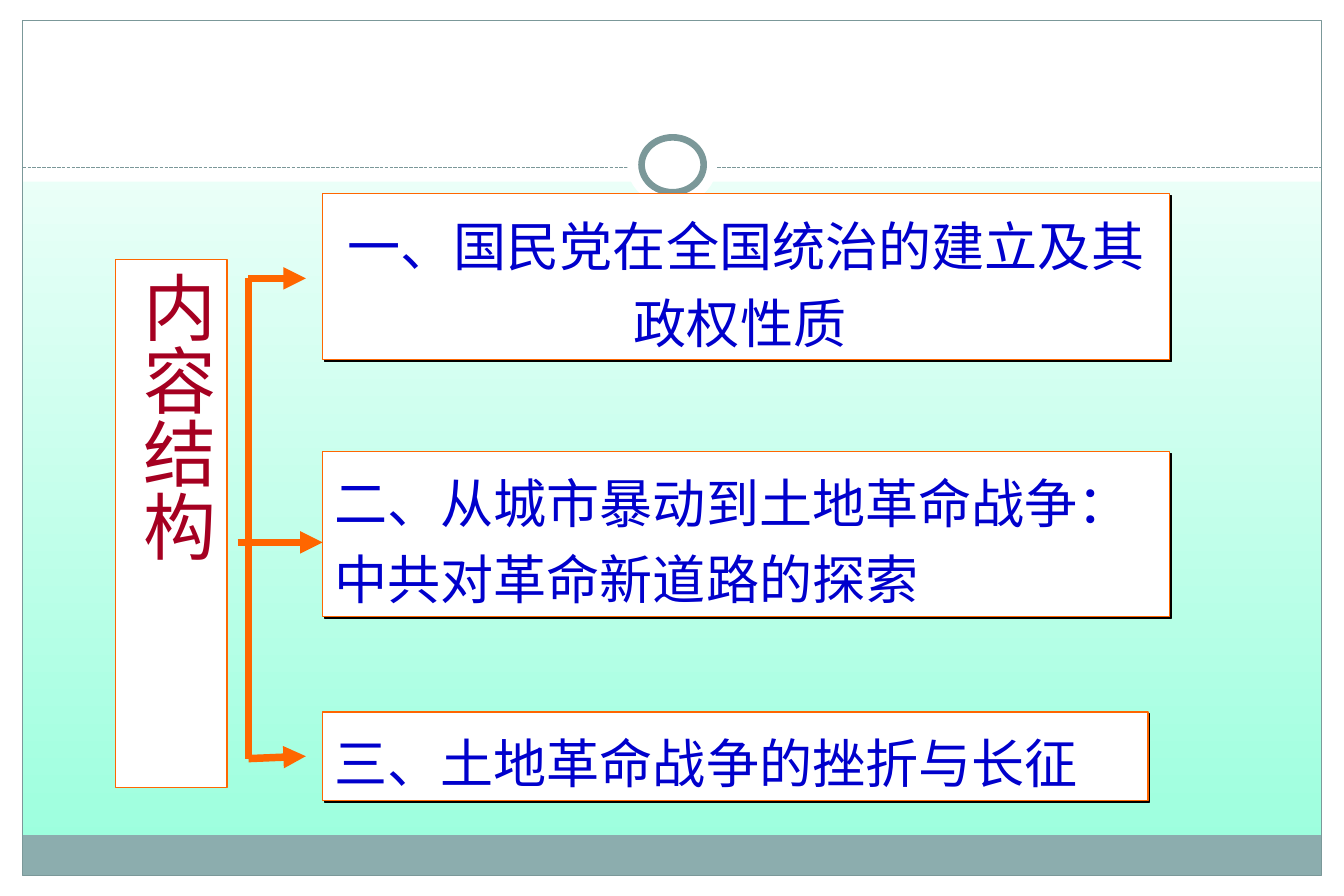
from lxml import etree
from pptx import Presentation
from pptx.dml.color import RGBColor
from pptx.enum.dml import MSO_LINE
from pptx.enum.shapes import MSO_CONNECTOR, MSO_SHAPE
from pptx.enum.text import MSO_ANCHOR, PP_ALIGN
from pptx.oxml.ns import qn
from pptx.util import Inches, Pt

RECTANGLE, OVAL = MSO_SHAPE.RECTANGLE, MSO_SHAPE.OVAL
STRAIGHT = MSO_CONNECTOR.STRAIGHT
DASH = MSO_LINE.SQUARE_DOT
TOP, MIDDLE, BOTTOM = MSO_ANCHOR.TOP, MSO_ANCHOR.MIDDLE, MSO_ANCHOR.BOTTOM
LEFT, CENTER = PP_ALIGN.LEFT, PP_ALIGN.CENTER

# Content
WIDTH, HEIGHT = 11.25, 7.5
FONT = "Noto Sans CJK JP"
COLORS = {
    "white": "FFFFFF", "mint": "97FFDC", "band": "8CADAE", "frame": "7B9899",
    "orange": "FF6600", "red": "A50021", "blue": "0000CC", "black": "000000",
}
HEADING = "内容结构"
HEADING_BOX = (0.97, 2.17, 0.93, 4.42)
TOPICS = [  # text, box, anchor, alignment, line width
    ("一、国民党在全国统治的建立及其政权性质 ", (2.7, 1.62, 7.09, 1.39), BOTTOM, CENTER, 0.75),
    ("二、从城市暴动到土地革命战争：中共对革命新道路的探索", (2.7, 3.78, 7.09, 1.38), MIDDLE, LEFT, 0.75),
    ("三、土地革命战争的挫折与长征", (2.7, 5.96, 6.91, 0.74), MIDDLE, LEFT, 0),
]
MARGIN = 0.19
HEADER_HEIGHT = 1.52
FOOTER_TOP = 7.33
DIVIDER_Y = 1.4
STEM_X, STEM_TOP, STEM_BOTTOM = 2.08, 2.33, 6.35
ARROWS = [  # start, end
    ((STEM_X, STEM_TOP), (2.56, STEM_TOP)),
    ((STEM_X, STEM_BOTTOM), (2.56, 6.33)),
    ((1.99, 4.54), (2.7, 4.54)),
]

presentation = Presentation()
presentation.slide_width, presentation.slide_height = Inches(WIDTH), Inches(HEIGHT)
slide = presentation.slides.add_slide(presentation.slide_layouts[6])


def color(name):
    return RGBColor.from_string(COLORS[name])


def add_box(kind, box, fill=None, line=None, width=0.75):
    shape = slide.shapes.add_shape(kind, *map(Inches, box))
    shape.shadow.inherit = False
    if fill:
        shape.fill.solid()
        shape.fill.fore_color.rgb = color(fill)
    else:
        shape.fill.background()
    if line:
        shape.line.color.rgb = color(line)
        shape.line.width = Pt(width)
    else:
        shape.line.fill.background()
    return shape


def add_line(start, end, line, width, arrow=False):
    connector = slide.shapes.add_connector(STRAIGHT, *map(Inches, start + end))
    connector.line.color.rgb = color(line)
    connector.line.width = Pt(width)
    if arrow:
        etree.SubElement(connector.line._get_or_add_ln(), qn("a:tailEnd"), type="triangle")
    etree.SubElement(connector._element.spPr, qn("a:effectLst"))
    return connector


def add_shadow(shape):
    effects = shape._element.spPr.find(qn("a:effectLst"))
    shadow = etree.SubElement(effects, qn("a:outerShdw"), dist=str(Pt(1.4)),
                              dir="2700000", algn="ctr", rotWithShape="0")
    etree.SubElement(shadow, qn("a:srgbClr"), val=COLORS["black"])


def write(shape, text, size, font_color, anchor, alignment, margins, spacing=1.0):
    text_frame = shape.text_frame
    text_frame.text = text
    text_frame.word_wrap = True
    text_frame.vertical_anchor = anchor
    text_frame.margin_left = text_frame.margin_right = Inches(margins[0])
    text_frame.margin_top = text_frame.margin_bottom = Inches(margins[1])
    paragraph = text_frame.paragraphs[0]
    paragraph.alignment = alignment
    paragraph.line_spacing = spacing
    font = paragraph.runs[0].font
    font.size, font.name = Pt(size), FONT
    font.color.rgb = color(font_color)
    etree.SubElement(font._element, qn("a:ea"), typeface=FONT)


# Background gradient, white at the top
background = slide.background.fill
background.gradient()
background.gradient_angle = 270
for stop, position, name in zip(background.gradient_stops, (0, 1), ("white", "mint")):
    stop.position = position
    stop.color.rgb = color(name)

# White margins, footer band and frame
inner_width = WIDTH - 2 * MARGIN
for box in [
    (0, FOOTER_TOP, WIDTH, HEIGHT - FOOTER_TOP),
    (0, 0, WIDTH, HEADER_HEIGHT),
    (0, 0, MARGIN, HEIGHT),
    (WIDTH - MARGIN, 0, MARGIN, HEIGHT),
]:
    add_box(RECTANGLE, box, "white")
add_box(RECTANGLE, (MARGIN, 6.99, inner_width, 0.34), "band")
add_box(RECTANGLE, (MARGIN, 0.17, inner_width, 7.16), line="frame")

# Dashed divider with ring
divider = add_line((MARGIN, DIVIDER_Y), (WIDTH - MARGIN, DIVIDER_Y), "frame", 0.75)
divider.line.dash_style = DASH
add_box(OVAL, (5.25, 1.05, 0.75, 0.67), "white")
add_box(OVAL, (5.37, 1.15, 0.52, 0.46), "white", "frame", 4)

# Vertical heading
heading = add_box(RECTANGLE, HEADING_BOX, "white", "orange")
write(heading, HEADING, 44, "red", TOP, CENTER, (0.05, 0.1))
heading.text_frame._txBody.bodyPr.set("vert", "eaVert")

# Topic boxes
for text, box, anchor, alignment, width in TOPICS:
    topic = add_box(RECTANGLE, box, "white", "orange", width)
    add_shadow(topic)
    write(topic, text, 32, "blue", anchor, alignment, (0.1, 0.05), 1.2)

# Stem and arrows to the topics
add_line((STEM_X, STEM_TOP), (STEM_X, STEM_BOTTOM), "orange", 4.5)
for start, end in ARROWS:
    add_line(start, end, "orange", 4.5, arrow=True)

presentation.save("out.pptx")
